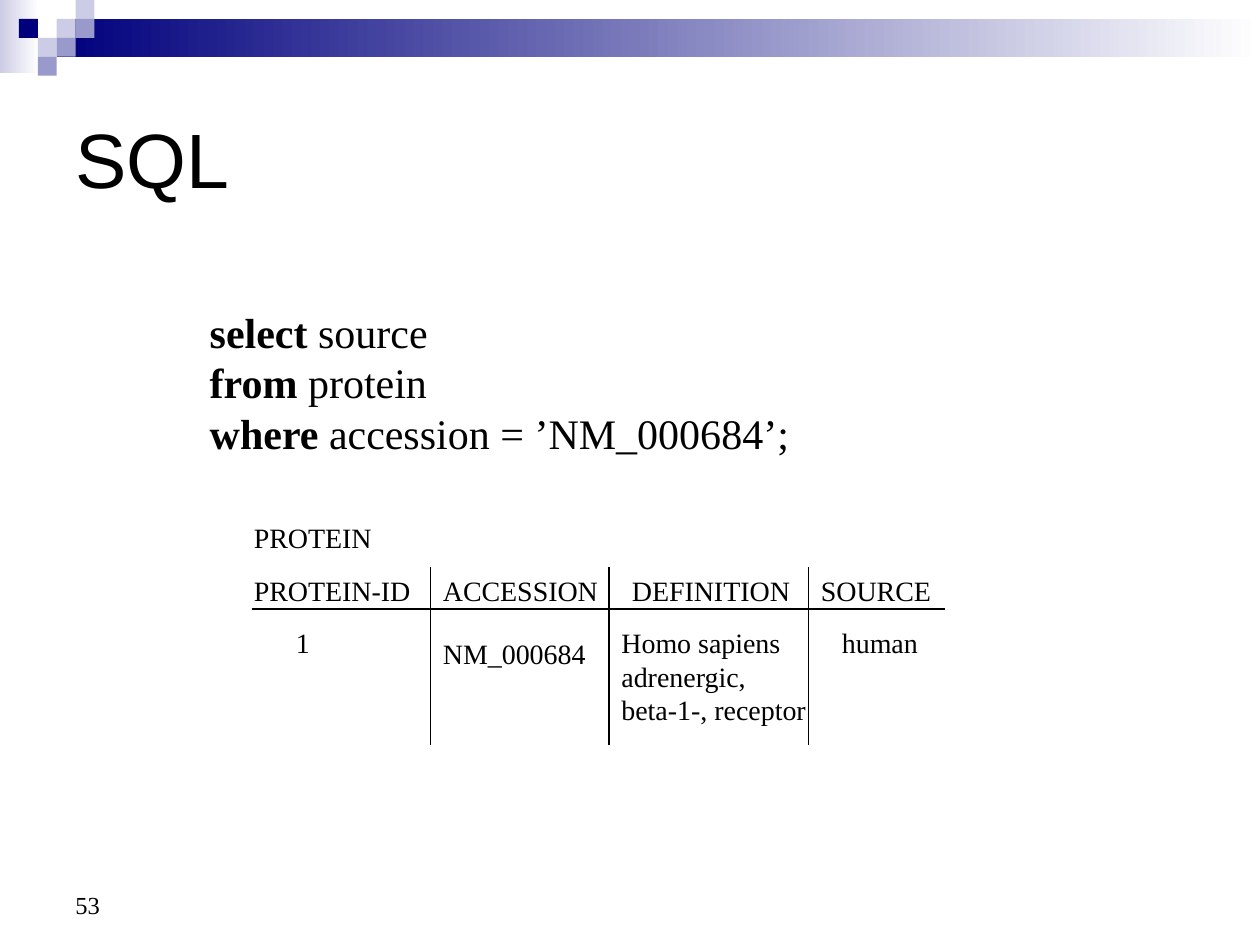
import dataclasses

import lxml.etree
import pptx
import pptx.dml.color
import pptx.enum.shapes
import pptx.enum.text
import pptx.oxml.ns
import pptx.util

PX = 7620  # EMU per px, 120 px to the inch
CELL = 18  # side of a square in the corner mosaic


@dataclasses.dataclass(frozen=True)
class Theme:
    ink: str = "000000"
    navy: str = "00007D"
    violet: str = "9999CC"
    lilac: str = "CCCCE6"
    paper: str = "FFFFFF"
    title_font: str = "Arial"
    body_font: str = "Times New Roman"
    title_size: int = 44
    query_size: int = 24
    table_size: int = 16
    number_size: int = 14


@dataclasses.dataclass(frozen=True)
class Box:
    left: int
    top: int
    width: int
    height: int

    def emu(self) -> list[int]:
        return [n * PX for n in (self.left, self.top, self.width, self.height)]


@dataclasses.dataclass(frozen=True)
class Label:
    text: str
    box: Box
    wrap: bool = False


@dataclasses.dataclass(frozen=True)
class Rule:
    x1: int
    y1: int
    x2: int
    y2: int


THEME = Theme()


def rgb(colour: str) -> pptx.dml.color.RGBColor:
    return pptx.dml.color.RGBColor.from_string(colour)


def style_run(run, size: int, font: str = THEME.body_font, bold: bool = False) -> None:
    run.font.size = pptx.util.Pt(size)
    run.font.name = font
    run.font.bold = bold
    run.font.color.rgb = rgb(THEME.ink)


def draw_block(slide, box: Box, start: str, end: str | None = None) -> None:
    """Draw a borderless rectangle, fading left to right when end is given."""
    block = slide.shapes.add_shape(pptx.enum.shapes.MSO_SHAPE.RECTANGLE, *box.emu())
    block.shadow.inherit = False
    block.line.fill.background()
    if end is None:
        block.fill.solid()
        block.fill.fore_color.rgb = rgb(start)
        return
    block.fill.gradient()
    block.fill.gradient_angle = 0
    for stop, position, colour in zip(block.fill.gradient_stops, (0, 1), (start, end)):
        stop.position = position
        stop.color.rgb = rgb(colour)


def draw_label(slide, label: Label, size: int):
    frame = slide.shapes.add_textbox(*label.box.emu()).text_frame
    frame.word_wrap = label.wrap
    frame.auto_size = pptx.enum.text.MSO_AUTO_SIZE.SHAPE_TO_FIT_TEXT
    frame.text = label.text
    for paragraph in frame.paragraphs:
        for run in paragraph.runs:
            style_run(run, size)
    return frame


def draw_rule(slide, rule: Rule) -> None:
    line = slide.shapes.add_connector(
        pptx.enum.shapes.MSO_CONNECTOR.STRAIGHT,
        rule.x1 * PX, rule.y1 * PX, rule.x2 * PX, rule.y2 * PX,
    )
    line.line.color.rgb = rgb(THEME.ink)
    line.line.width = pptx.util.Pt(0.75)
    properties = line._element.spPr
    lxml.etree.SubElement(properties, pptx.oxml.ns.qn("a:effectLst"))


def draw_banner(slide) -> None:
    draw_block(slide, Box(0, 0, 37, 70), THEME.lilac, THEME.paper)
    draw_block(slide, Box(54, 18, 1146, 36), THEME.navy, THEME.paper)
    mosaic = {
        THEME.lilac: [(3, 1), (4, 0), (2, 2)],
        THEME.violet: [(4, 1), (3, 2), (2, 3)],
        THEME.navy: [(1, 1)],
    }
    for colour, cells in mosaic.items():
        for column, row in cells:
            draw_block(slide, Box(column * CELL, row * CELL, CELL, CELL), colour)


def draw_title(slide) -> None:
    title = slide.shapes.title
    title.left, title.top, title.width, title.height = Box(60, 60, 1080, 180).emu()
    frame = title.text_frame
    frame.text = "SQL"
    frame.vertical_anchor = pptx.enum.text.MSO_ANCHOR.MIDDLE
    frame.paragraphs[0].alignment = pptx.enum.text.PP_ALIGN.LEFT
    style_run(frame.paragraphs[0].runs[0], THEME.title_size, THEME.title_font)


def draw_query(slide) -> None:
    clauses = [
        ("select", " source"),
        ("from", " protein"),
        ("where", " accession = ’NM_000684’;"),
    ]
    keywords = "\n".join(keyword for keyword, _ in clauses)
    frame = draw_label(slide, Label(keywords, Box(188, 286, 600, 156)), THEME.query_size)
    for paragraph, (_, operand) in zip(frame.paragraphs, clauses):
        paragraph.runs[0].font.bold = True
        run = paragraph.add_run()
        run.text = operand
        style_run(run, THEME.query_size)


def draw_protein_table(slide) -> None:
    header, values, height = 540, 590, 44
    labels = [
        Label("PROTEIN", Box(230, 490, 146, height)),
        # Column heads
        Label("PROTEIN-ID", Box(230, header, 177, height)),
        Label("ACCESSION", Box(410, header, 176, height)),
        Label("DEFINITION", Box(590, header, 179, height)),
        Label("SOURCE", Box(770, header, 133, height)),
        # Record
        Label("1", Box(270, values, 38, height), wrap=True),
        Label("NM_000684", Box(410, values + 10, 164, height)),
        Label("Homo sapiens adrenergic,\nbeta-1-, receptor",
              Box(580, values, 205, 108), wrap=True),
        Label("human", Box(790, values, 100, height)),
    ]
    for label in labels:
        draw_label(slide, label, THEME.table_size)

    # Header line and column dividers
    draw_rule(slide, Rule(240, 580, 900, 580))
    for divider in (410, 580, 770):
        draw_rule(slide, Rule(divider, header, divider, 710))


def draw_slide_number(slide) -> None:
    frame = draw_label(slide, Label("53", Box(60, 820, 280, 62), wrap=True),
                       THEME.number_size)
    frame.auto_size = pptx.enum.text.MSO_AUTO_SIZE.NONE
    frame.vertical_anchor = pptx.enum.text.MSO_ANCHOR.BOTTOM


def main() -> None:
    deck = pptx.Presentation()
    deck.slide_width, deck.slide_height = 1200 * PX, 900 * PX
    slide = deck.slides.add_slide(deck.slide_layouts.get_by_name("Title Only"))
    draw_banner(slide)
    draw_slide_number(slide)
    draw_title(slide)
    draw_query(slide)
    draw_protein_table(slide)
    deck.save("out.pptx")


if __name__ == "__main__":
    main()
